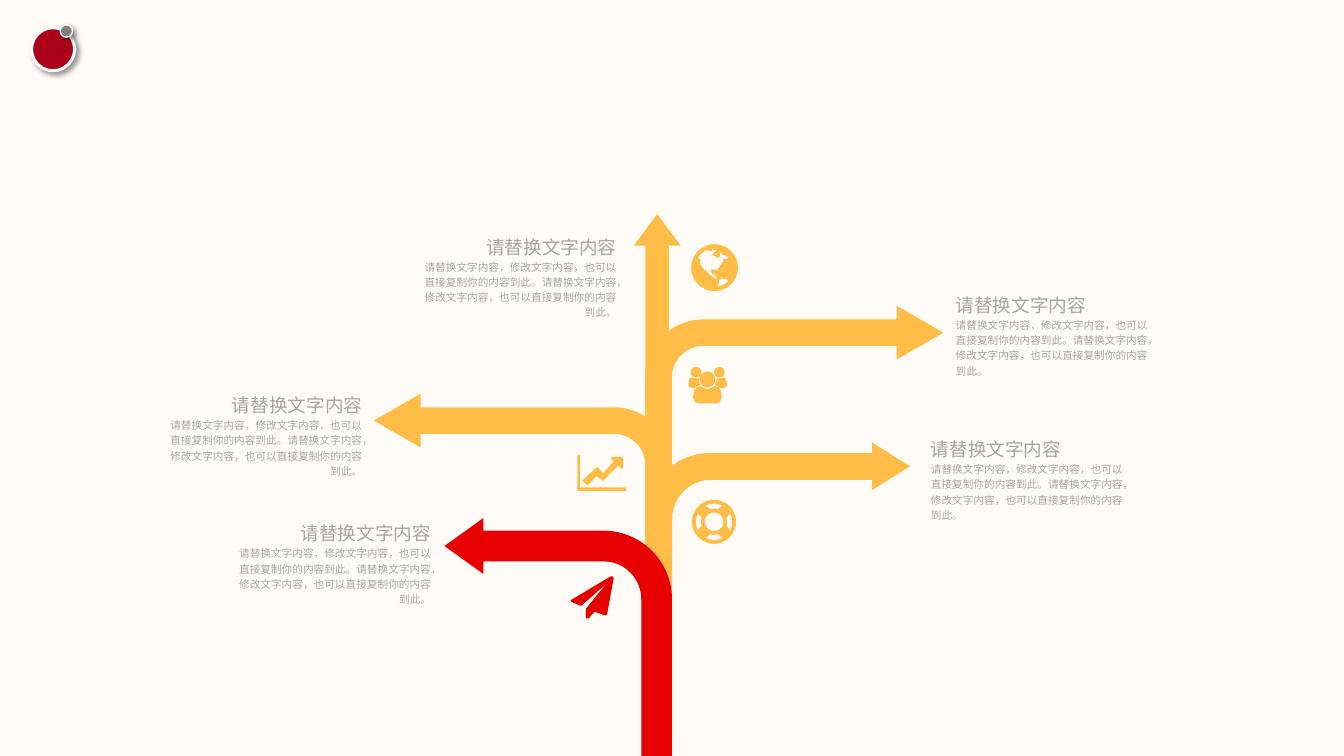
"""Build a slide with a tree of branching arrows, icons and captions."""
from math import cos, radians, sin

from lxml import etree
from pptx import Presentation
from pptx.dml.color import RGBColor
from pptx.enum.shapes import MSO_SHAPE
from pptx.enum.text import PP_ALIGN
from pptx.oxml.ns import qn
from pptx.util import Pt

UP, BENT, OVAL = MSO_SHAPE.UP_ARROW, MSO_SHAPE.BENT_ARROW, MSO_SHAPE.OVAL
LEFT, RIGHT = PP_ALIGN.LEFT, PP_ALIGN.RIGHT

COLORS = {
    "paper": "FFFCF8", "amber": "FFBD47", "red": "E60000", "text": "A5A5A5",
    "crimson": "AB0019", "gray": "7F7F7F", "white": "FFFFFF", "black": "000000",
}
FONT = "Arial"
WIDTH, HEIGHT = 1012.32, 569.52
GRID = 0.72
TITLE = "请替换文字内容"
BODY = ("请替换文字内容，修改文字内容，也可以直接复制你的内容到此。"
        "请替换文字内容，修改文字内容，也可以直接复制你的内容到此。")

ARROWS = [
    (UP, (477.36, 161.28, 35.28, 396.72), (0.5, 0.671), "amber", False),
    (BENT, (486, 230.4, 224.64, 327.6), (0.089, 0.09, 0.157, 0.195), "amber", False),
    (BENT, (281.52, 296.64, 224.64, 262.08), (0.089, 0.09, 0.157, 0.195), "amber", True),
    (BENT, (486, 333.36, 199.44, 225.36), (0.102, 0.09, 0.143, 0.249), "amber", False),
    (BENT, (334.8, 390.24, 171.36, 179.28), (0.135, 0.123, 0.171, 0.301), "red", True),
]
CAPTIONS = [
    (166.32, 386.64, 165.6, RIGHT),
    (116.64, 290.16, 163.44, RIGHT),
    (694.08, 323.28, 163.44, LEFT),
    (308.16, 170.64, 163.44, RIGHT),
    (712.8, 214.56, 163.44, LEFT),
]
CAPTION_HEIGHT = 73.44
BADGES = [
    (23.76, 20.88, 32.4, "crimson", 2.25),
    (45.36, 18.72, 9.36, "gray", 1),
]

PLANE = [(45, 2), (38, 40), (36, 41), (25, 37), (19, 44), (16, 44), (16, 34),
         (37, 8), (11, 31), (1, 27), (0, 25), (42, 0), (44, 0)]
AMERICAS = [
    (33, 18), (34, 16), (38, 16), (39, 14), (36, 12), (33, 12), (32, 10), (30, 10),
    (30, 13), (29, 15), (27, 14), (25, 13), (22, 12), (24, 9), (27, 7), (27, 6),
    (24, 7), (22, 5), (22, 8), (18, 7), (15, 7), (11, 10), (7, 14), (8, 15),
    (10, 17), (9, 21), (12, 25), (14, 28), (15, 29), (14, 26), (17, 30), (20, 33),
    (23, 35), (26, 37), (29, 38), (26, 36), (27, 34), (25, 33), (25, 31), (23, 33),
    (21, 30), (21, 27), (24, 27), (26, 27), (28, 29), (28, 26), (30, 23), (32, 21),
    (33, 19), (35, 18)]
SOUTH = [(39, 39), (37, 37), (34, 37), (32, 36), (29, 38), (29, 41), (28, 45),
         (34, 43)]
AXES = [(0, 0), (3, 0), (3, 34), (51, 34), (51, 38), (0, 38)]
TREND = [(48, 14), (46, 15), (43, 11), (27, 27), (26, 27), (20, 22), (11, 32),
         (5, 27), (20, 13), (21, 13), (27, 19), (38, 7), (35, 4), (36, 2),
         (46, 2), (48, 4)]
SIDE_BODY = [(7, 22), (4, 22), (1, 21), (0, 18), (1, 13), (3, 11), (8, 12),
             (11, 12), (11, 15), (13, 19), (9, 20)]
FRONT_BODY = [(29, 38), (11, 38), (7, 37), (5, 32), (6, 25), (9, 21), (13, 20),
              (16, 22), (20, 23), (24, 22), (28, 20), (32, 21), (34, 25),
              (35, 32), (33, 37)]


def arc(cx, cy, radius, start=0, end=360, steps=48):
    angles = [radians(start + (end - start) * i / steps) for i in range(steps + 1)]
    return [(cx + radius * cos(a), cy + radius * sin(a)) for a in angles]


def ring_piece(center, angle):
    inner = arc(center, center, 13.6, angle - 17, angle + 17, 8)
    return inner + arc(center, center, 19, angle + 28, angle - 28, 12)


def mirror(points, width):
    return [(width - x, y) for x, y in points]


LEFT_HEAD = arc(8, 5.5, 5.5)
ICONS = [
    (429.84, 434.16, "red", [PLANE]),
    (520.56, 183.6, "amber", [arc(24.5, 25, 24.5), AMERICAS, SOUTH]),
    (434.88, 342.72, "amber", [AXES, TREND]),
    (521.28, 376.56, "amber", [arc(23, 23, 23), arc(23, 23, 9.7)]
     + [ring_piece(23, angle) for angle in range(0, 360, 90)]),
    (518.4, 276.48, "amber", [
        LEFT_HEAD, mirror(LEFT_HEAD, 40.5), SIDE_BODY, mirror(SIDE_BODY, 40.5),
        arc(20, 13, 8.2), FRONT_BODY]),
]


def rgb(name):
    return RGBColor.from_string(COLORS[name])


def paint(sp, color):
    sp.shadow.inherit = False
    sp.fill.solid()
    sp.fill.fore_color.rgb = rgb(color)
    sp.line.fill.background()


def add_shape(slide, kind, box, color, adjustments=(), flip=False):
    sp = slide.shapes.add_shape(kind, *map(Pt, box))
    paint(sp, color)
    for i, value in enumerate(adjustments):
        sp.adjustments[i] = value
    if flip:
        sp._element.spPr.find(qn("a:xfrm")).set("flipH", "1")
    return sp


def add_icon(slide, left, top, color, contours):
    placed = [[(Pt(left + x * GRID), Pt(top + y * GRID)) for x, y in contour]
              for contour in contours]
    builder = slide.shapes.build_freeform(*placed[0][0], scale=1.0)
    for i, contour in enumerate(placed):
        if i:
            builder.move_to(*contour[0])
        builder.add_line_segments(contour[1:], close=True)
    paint(builder.convert_to_shape(), color)


def add_text(p, text, size, color="text", align=LEFT, spacing=1.2):
    p.alignment = align
    p.line_spacing = spacing
    r = p.add_run()
    r.text = text
    r.font.name = FONT
    r.font.size = Pt(size)
    r.font.color.rgb = rgb(color)


def add_caption(slide, left, top, width, align):
    box = slide.shapes.add_textbox(*map(Pt, (left, top, width, CAPTION_HEIGHT)))
    tf = box.text_frame
    tf.word_wrap = True
    add_text(tf.paragraphs[0], TITLE, size=14, align=align)
    add_text(tf.add_paragraph(), BODY, size=8, align=align)


def add_badge(slide, left, top, size, color, line_width):
    sp = add_shape(slide, OVAL, (left, top, size, size), color)
    sp.line.color.rgb = rgb("white")
    sp.line.width = Pt(line_width)
    effects = sp._element.spPr.find(qn("a:effectLst"))
    shadow = etree.SubElement(effects, qn("a:outerShdw"), blurRad=str(Pt(4)),
                              dist=str(Pt(3)), dir="2700000", algn="tl",
                              rotWithShape="0")
    tone = etree.SubElement(shadow, qn("a:srgbClr"), val=COLORS["black"])
    etree.SubElement(tone, qn("a:alpha"), val="40000")


def main():
    prs = Presentation()
    prs.slide_width, prs.slide_height = Pt(WIDTH), Pt(HEIGHT)
    slide = prs.slides.add_slide(prs.slide_layouts[6])
    slide.background.fill.solid()
    slide.background.fill.fore_color.rgb = rgb("paper")
    for kind, box, adjustments, color, flip in ARROWS:
        add_shape(slide, kind, box, color, adjustments, flip)
    for caption in CAPTIONS:
        add_caption(slide, *caption)
    for icon in ICONS:
        add_icon(slide, *icon)
    for badge in BADGES:
        add_badge(slide, *badge)
    prs.save("out.pptx")


if __name__ == "__main__":
    main()
